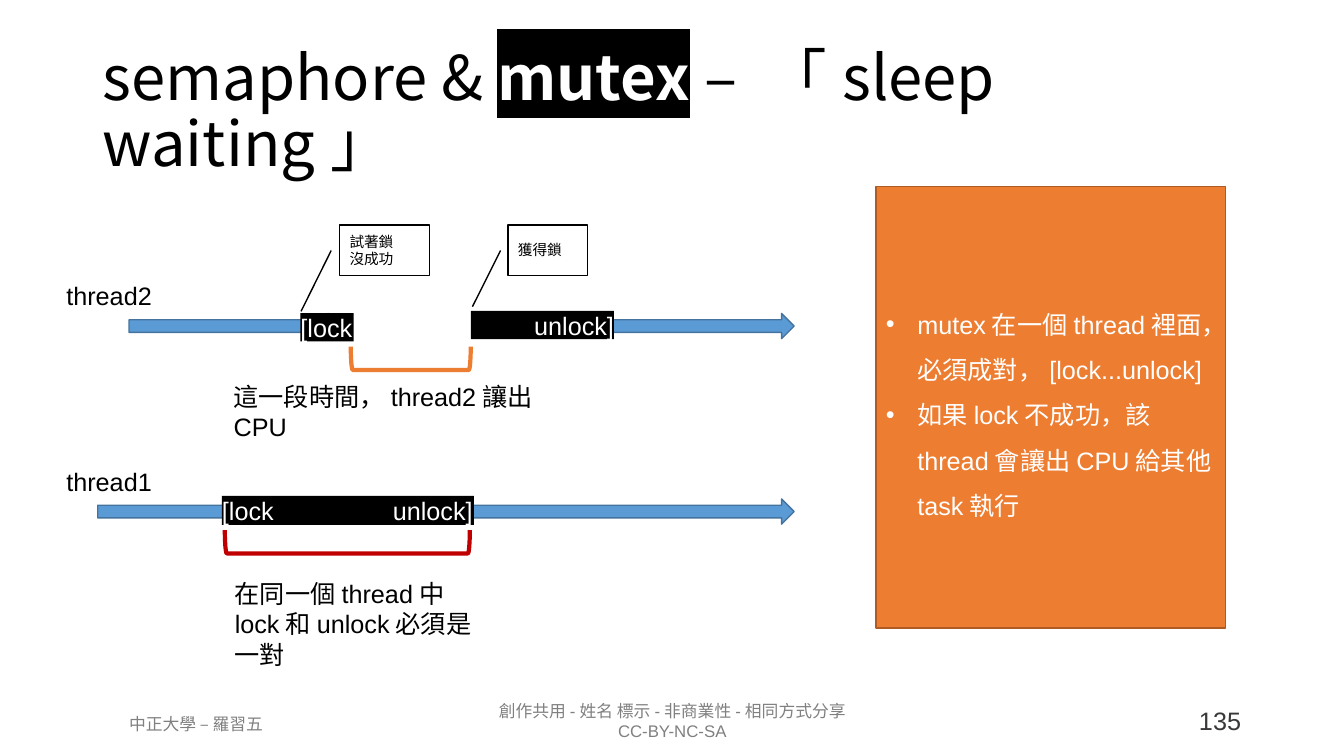
import pptx
import pptx.util
import pptx.dml.color
import pptx.enum.shapes
import pptx.enum.text
import pptx.oxml
import pptx.oxml.ns

Pt = pptx.util.Pt
Kind = pptx.enum.shapes.MSO_SHAPE
Align = pptx.enum.text.PP_ALIGN
Anchor = pptx.enum.text.MSO_ANCHOR
NS = 'xmlns:a="http://schemas.openxmlformats.org/drawingml/2006/main"'
CJK = "Noto Sans CJK SC"

TITLE = [("semaphore & ", {}),
         ("mutex", {"color": "FFFFFF", "bold": True, "mark": "000000"}),
         (" – 「sleep waiting」", {})]
RULES = ["mutex在一個thread裡面，必須成對，[lock...unlock]",
         "如果lock不成功，該thread會讓出CPU給其他task執行"]
LABELS = [
    ((40.3, 196.6, 101.5, 29), "thread2"),
    ((40.3, 329.8, 101.5, 29), "thread1"),
    ((159.8, 268.6, 266.4, 50), "這一段時間，thread2讓出CPU"),
    ((160.6, 409.7, 198, 72), "在同一個thread中lock和unlock必須是一對"),
]
FOOTS = [
    ((303.1, 496.8, 354.2, 36), ["創作共用-姓名 標示-非商業性-相同方式分享", "CC-BY-NC-SA"],
     {"size": 12, "color": "808080", "align": Align.CENTER}),
    ((49.7, 506.2, 180.7, 21.6), ["中正大學 – 羅習五"],
     {"size": 12, "color": "808080", "align": Align.CENTER}),
    ((717.1, 500.4, 176.4, 28.8), ["135"],
     {"color": "3B3838", "align": Align.RIGHT}),
]
ARROWS = [(69.8, 356.4, 497.5), (92.2, 223.9, 151.2), (342.7, 223.9, 224.6)]
BARS = [
    ((214.6, 223.6, 38, 20.2), "[lock", {}),
    ((336.4, 222, 102.2, 20.2), "unlock]", {"align": Align.RIGHT}),
    ((158.6, 354.2, 180, 20.8), "[lock\tunlock]", {"tab": 122}),
]
CALLS = [
    ((242.6, 160.6, 64.1, 36), ["試著鎖", "沒成功"], (0.51, -0.094, 1.717, -0.43)),
    ((362.9, 160.6, 56.9, 36), ["獲得鎖"], (0.51, -0.094, 1.624, -0.447)),
]
BRACKETS = [((239.8, 299.5, 16.6, 175), "C00000"),
            ((285.1, 213.1, 16.6, 85.7), "ED7D31")]


def hue(code):
    return pptx.dml.color.RGBColor.from_string(code)


def xml(tag):
    return pptx.oxml.parse_xml(tag.replace(" ", f" {NS} ", 1))


def write(shape, paras, size=18, font="Arial", color="000000", align=Align.LEFT,
          anchor=Anchor.TOP, space=None, inset=None, tab=None, bullet=False):
    frame = shape.text_frame
    frame.word_wrap = True
    frame.vertical_anchor = anchor
    if inset is not None:
        frame.margin_left = frame.margin_right = Pt(inset)
        frame.margin_top = frame.margin_bottom = Pt(inset)
    for num, runs in enumerate(paras):
        para = frame.add_paragraph() if num else frame.paragraphs[0]
        para.alignment = align
        if space:
            para.line_spacing = space
        props = para._p.get_or_add_pPr()
        if bullet:
            props.set("marL", str(Pt(22.5)))
            props.set("indent", str(-Pt(22.5)))
            props.append(xml('<a:buFont typeface="Arial"/>'))
            props.append(xml('<a:buChar char="•"/>'))
        if tab:
            props.append(xml(f'<a:tabLst ><a:tab pos="{Pt(tab)}" algn="l"/></a:tabLst>'))
        for text, look in [(runs, {})] if isinstance(runs, str) else runs:
            run = para.add_run()
            run.text = text
            run.font.size = Pt(size)
            run.font.name = font
            run.font.bold = look.get("bold", False)
            run.font.color.rgb = hue(look.get("color", color))
            rpr = run._r.get_or_add_rPr()
            rpr.append(xml(f'<a:ea typeface="{CJK}"/>'))
            if "mark" in look:
                fill = rpr.find(pptx.oxml.ns.qn("a:solidFill"))
                fill.addnext(xml(f'<a:highlight ><a:srgbClr val="{look["mark"]}"/></a:highlight>'))


def label(slide, box, paras, **look):
    write(slide.shapes.add_textbox(*map(Pt, box)), paras, **look)


def draw(slide, kind, box, fill=None, line=None, width=1):
    shape = slide.shapes.add_shape(kind, *map(Pt, box))
    shape.shadow.inherit = False
    if fill:
        shape.fill.solid()
        shape.fill.fore_color.rgb = hue(fill)
    else:
        shape.fill.background()
    if line:
        shape.line.color.rgb = hue(line)
        shape.line.width = Pt(width)
    else:
        shape.line.fill.background()
    return shape


def main():
    deck = pptx.Presentation()
    deck.slide_width, deck.slide_height = Pt(960), Pt(540)
    slide = deck.slides.add_slide(deck.slide_layouts[6])

    label(slide, (66.2, 28.8, 828, 104.4), [TITLE], size=44, font=CJK,
          anchor=Anchor.MIDDLE, space=0.9)
    for box, paras, look in FOOTS:
        label(slide, box, paras, **look)
    for left, top, width in ARROWS:
        draw(slide, Kind.RIGHT_ARROW, (left, top, width, 18), "5B9BD5", "43739E")
    for box, text, look in BARS:
        write(draw(slide, Kind.RECTANGLE, box, "000000"), [text], color="FFFFFF",
              anchor=Anchor.MIDDLE, inset=0, **look)
    for box, paras, tail in CALLS:
        call = draw(slide, Kind.LINE_CALLOUT_1, box, "FFFFFF", "000000")
        for num, value in enumerate(tail):
            call.adjustments[num] = value
        write(call, paras, size=10.5, font="Courier New", anchor=Anchor.MIDDLE)
    for box, color in BRACKETS:
        draw(slide, Kind.RIGHT_BRACKET, box, line=color, width=3).rotation = 90
    for box, text in LABELS:
        label(slide, box, [text])
    panel = draw(slide, Kind.RECTANGLE, (625.7, 133.2, 249.8, 315.4), "ED7D31", "AF5C24")
    write(panel, RULES, color="FFFFFF", anchor=Anchor.MIDDLE, space=1.5, bullet=True)
    deck.save("out.pptx")


if __name__ == "__main__":
    main()
